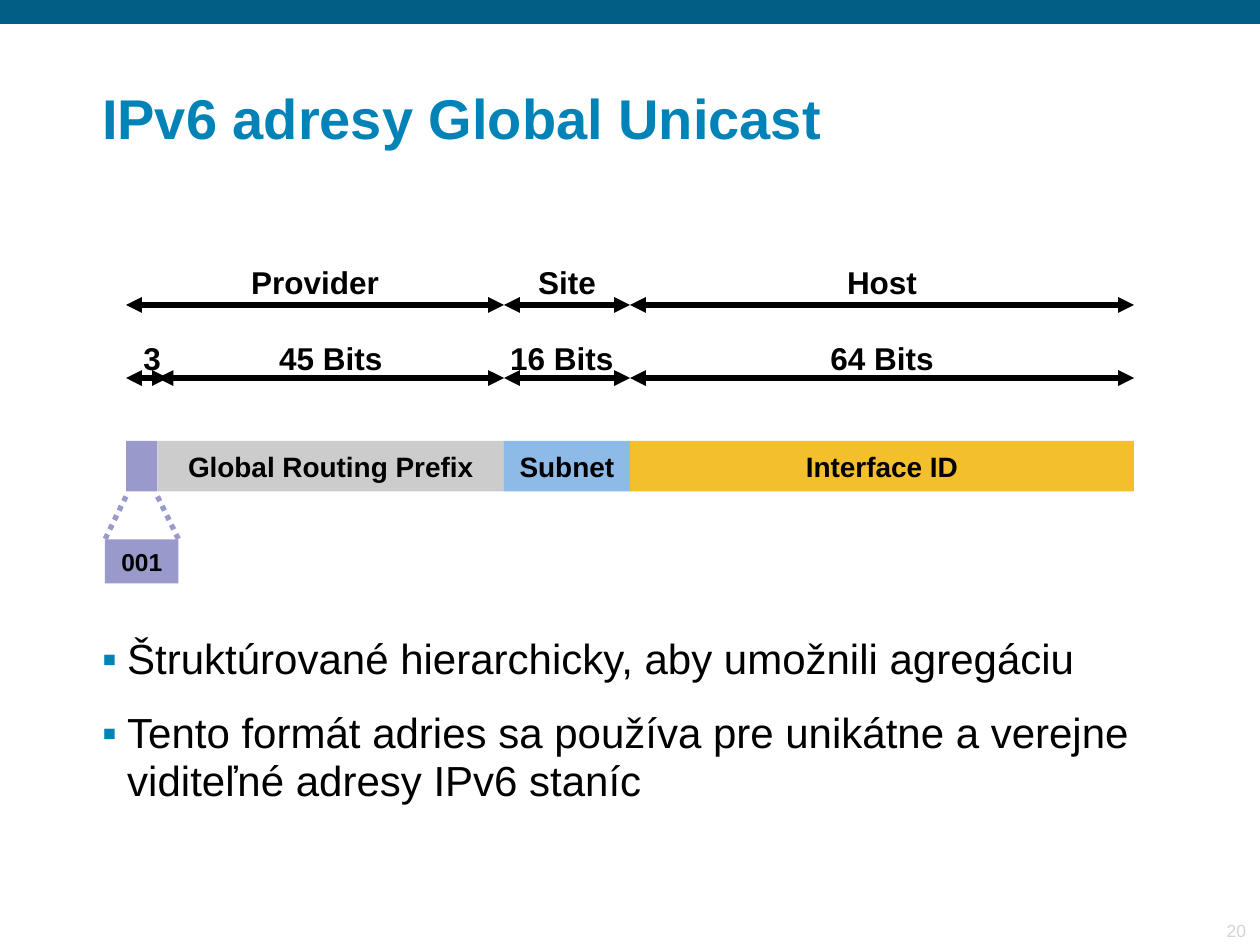
from lxml import etree
from pptx import Presentation
from pptx.dml.color import RGBColor
from pptx.enum.dml import MSO_LINE
from pptx.enum.shapes import MSO_CONNECTOR, MSO_SHAPE
from pptx.enum.text import MSO_ANCHOR, PP_ALIGN
from pptx.oxml.ns import qn
from pptx.util import Inches, Pt

RECT = MSO_SHAPE.RECTANGLE
LINE = MSO_CONNECTOR.STRAIGHT
DOTS = MSO_LINE.ROUND_DOT
TOP, MID, LOW = MSO_ANCHOR.TOP, MSO_ANCHOR.MIDDLE, MSO_ANCHOR.BOTTOM
LEFT, MIDST, RIGHT = PP_ALIGN.LEFT, PP_ALIGN.CENTER, PP_ALIGN.RIGHT

NAVY = RGBColor(0x01, 0x5F, 0x85)
BLUE = RGBColor(0x01, 0x83, 0xB7)
BLACK = RGBColor(0, 0, 0)
PALE = RGBColor(0xD3, 0xD3, 0xD3)
LILAC = RGBColor(0x99, 0x99, 0xCC)
GREY = RGBColor(0xCC, 0xCC, 0xCC)
SKY = RGBColor(0x8D, 0xBA, 0xE7)
GOLD = RGBColor(0xF3, 0xBF, 0x2D)

BITS, ROWS = 128, 26
FIELDS = [
    ("", 0, 4, LILAC),
    ("Global Routing Prefix", 4, 48, GREY),
    ("Subnet", 48, 64, SKY),
    ("Interface ID", 64, 128, GOLD),
]
OWNERS = [
    ("Provider", 0, 48, 24, 20),
    ("Site", 48, 64, 56, 12),
    ("Host", 64, 128, 96, 14),
]
SIZES = [
    ("3", 0, 5.33, 3.33, 6.67),
    ("45 Bits", 4, 48, 26, 22.67),
    ("16 Bits", 48, 64, 55.33, 22.67),
    ("64 Bits", 64, 128, 96, 22.67),
]
POINTS = [
    "Štruktúrované hierarchicky, aby umožnili agregáciu",
    "Tento formát adries sa používa pre unikátne a verejne viditeľné adresy IPv6 staníc",
]


def style(para, size, color, bold=False, align=LEFT):
    """Set the font and alignment of a paragraph."""
    para.alignment = align
    font = para.font
    font.name, font.size, font.bold = "Arial", Pt(size), bold
    font.color.rgb = color


def frame(shape, anchor, side=0.09, edge=0.04, wrap=True):
    """Set the margins, anchor and wrap of a shape and return its text frame."""
    text = shape.text_frame
    text.margin_left = text.margin_right = Inches(side)
    text.margin_top = text.margin_bottom = Inches(edge)
    text.vertical_anchor, text.word_wrap = anchor, wrap
    return text


def block(slide, box, fill, words="", size=16):
    """Draw a filled rectangle with a bold centred label."""
    shape = slide.shapes.add_shape(RECT, *map(Inches, box))
    shape.shadow.inherit = False
    shape.fill.solid()
    shape.fill.fore_color.rgb = fill
    shape.line.fill.background()
    if words:
        text = frame(shape, MID, 0.08, wrap=False)
        text.text = words
        style(text.paragraphs[0], size, BLACK, True, MIDST)


def stroke(slide, start, end, color):
    """Draw a three-point straight line and return it."""
    line = slide.shapes.add_connector(LINE, *map(Inches, (*start, *end)))
    line.line.color.rgb = color
    line.line.width = Pt(3)
    etree.SubElement(line._element.spPr, qn("a:effectLst"))
    return line


def arrow(slide, start, end):
    """Draw a black line with a triangle at both ends."""
    line = stroke(slide, start, end, BLACK)
    for tag in ("a:headEnd", "a:tailEnd"):
        etree.SubElement(line.line._get_or_add_ln(), qn(tag), type="triangle")


def spans(slide, box, items):
    """Place a row of labels above double arrows at the foot of the box."""
    left, top, width, height = box
    col = width / BITS
    foot = top + height
    for words, first, last, mid, wide in items:
        arrow(slide, (left + first * col, foot), (left + last * col, foot))
        spot = (left + (mid - wide / 2) * col, top, wide * col, 0.4)
        label = slide.shapes.add_textbox(*map(Inches, spot))
        text = frame(label, TOP, 0.1, 0.05)
        text.text = words
        style(text.paragraphs[0], 18, BLACK, True, MIDST)


def address(slide, box):
    """Draw the address fields, their spans and the prefix detail."""
    left, top, width, height = box
    col, row = width / BITS, height / ROWS
    spans(slide, (left, top, width, 3.8 * row), OWNERS)
    spans(slide, (left, top + 6 * row, width, 3.6 * row), SIZES)
    for near, far in ((0, -2.67), (4, 6.67)):
        start = (left + near * col, top + 19 * row)
        end = (left + far * col, top + 22.4 * row)
        stroke(slide, start, end, LILAC).line.dash_style = DOTS
    for words, first, last, fill in FIELDS:
        spot = (left + first * col, top + 14.6 * row, (last - first) * col, 4 * row)
        block(slide, spot, fill, words)
    spot = (left - 2.67 * col, top + 22.4 * row, 9.34 * col, 3.5 * row)
    block(slide, spot, LILAC, "001", 14)


def heading(slide, box):
    """Place and format the title."""
    title = slide.shapes.title
    title.left, title.top, title.width, title.height = map(Inches, box)
    text = frame(title, MID)
    text.text = "IPv6 adresy Global Unicast"
    para = text.paragraphs[0]
    para.line_spacing = 0.9
    style(para, 32, BLUE, True)


def bullets(slide, box):
    """Place the bulleted notes."""
    text = frame(slide.shapes.add_textbox(*map(Inches, box)), TOP)
    text.text = "\n".join(POINTS)
    for index, para in enumerate(text.paragraphs):
        para.line_spacing = 0.95
        para.space_before = Pt(15 if index else 0)
        prop = para._p.get_or_add_pPr()
        prop.set("marL", str(Inches(0.2)))
        prop.set("indent", str(Inches(-0.2)))
        tint = etree.SubElement(prop, qn("a:buClr"))
        etree.SubElement(tint, qn("a:srgbClr"), val=str(BLUE))
        etree.SubElement(prop, qn("a:buFont"), typeface="Arial")
        etree.SubElement(prop, qn("a:buChar"), char="▪")
        style(para, 24, BLACK)


def number(slide, box):
    """Place the page number."""
    text = frame(slide.shapes.add_textbox(*map(Inches, box)), LOW, wrap=False)
    text.text = "20"
    style(text.paragraphs[0], 10, PALE, align=RIGHT)


def main():
    """Build and save the slide."""
    deck = Presentation()
    deck.slide_width, deck.slide_height = Inches(10), Inches(7.5)
    slide = deck.slides.add_slide(deck.slide_layouts[5])
    block(slide, (0, 0, 10, 0.19), NAVY)
    number(slide, (9.17, 7.25, 0.81, 0.26))
    heading(slide, (0.72, 0.5, 8.91, 0.92))
    bullets(slide, (0.72, 5.01, 8.56, 1.86))
    address(slide, (1, 2.04, 8, 2.6))
    deck.save("out.pptx")


if __name__ == "__main__":
    main()
